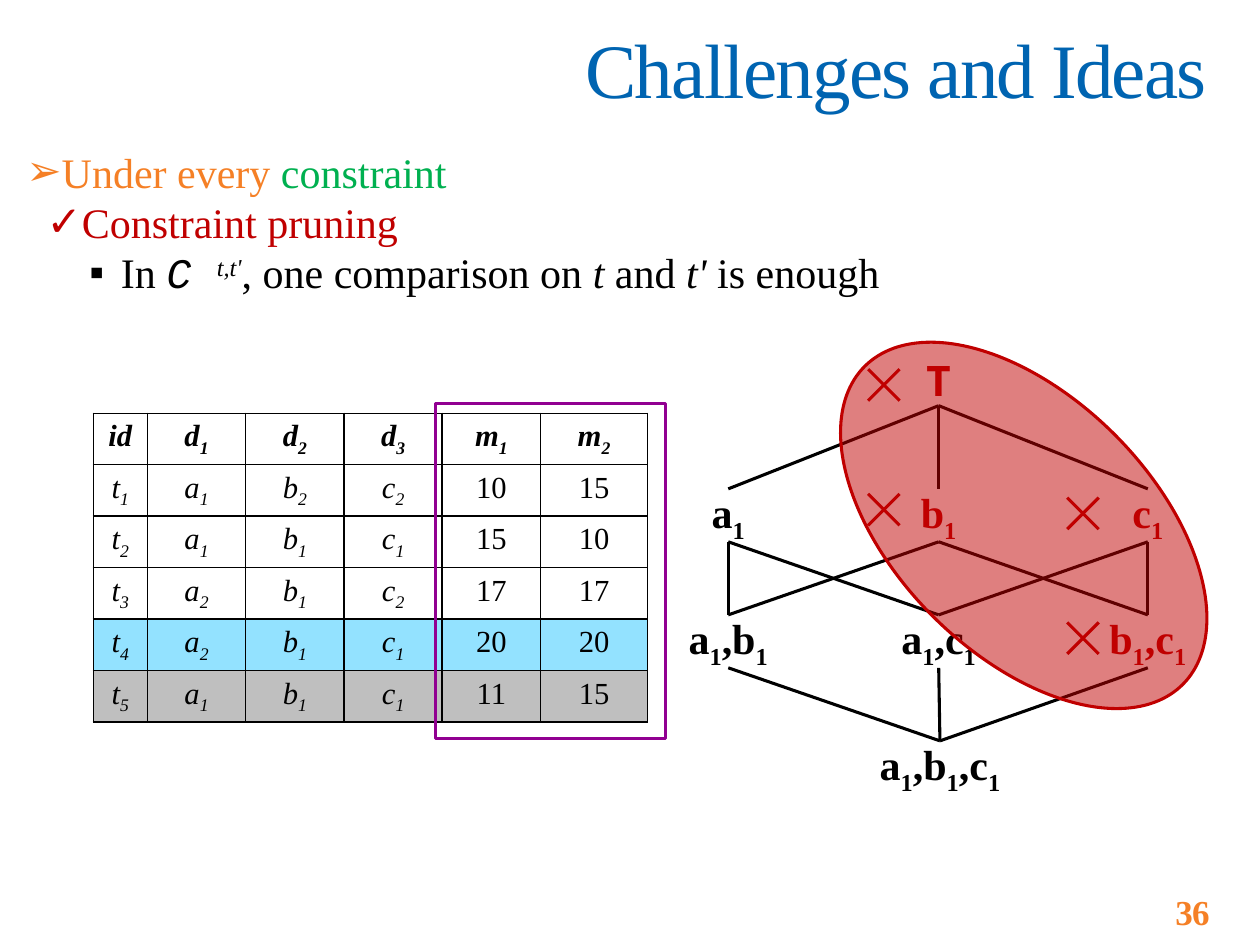
from itertools import groupby
from lxml import etree
from pptx import Presentation
from pptx.dml.color import RGBColor as RGB
from pptx.enum.shapes import MSO_CONNECTOR as LINK, MSO_SHAPE as SHAPE
from pptx.enum.text import MSO_ANCHOR as ANCHOR, PP_ALIGN as ALIGN
from pptx.oxml.ns import qn
from pptx.util import Inches, Pt

HUES = {"blue": "0064B1", "orange": "F58026", "green": "00B050", "red": "C00000",
        "black": "000000", "white": "FFFFFF", "sky": "93E2FF", "gray": "BFBFBF",
        "purple": "910091"}
SERIF = "Times New Roman"


def hue(name):
    return RGB.from_string(HUES[name])


def style(font, size, color, bold=None, italic=None, name=SERIF):
    font.size, font.name, font.bold, font.italic = Pt(size), name, bold, italic
    font.color.rgb = hue(color)


def place(item, x, y, w, h):
    item.left, item.top, item.width, item.height = map(Inches, (x, y, w, h))


def pad(frame, *sides):
    (frame.margin_left, frame.margin_top,
     frame.margin_right, frame.margin_bottom) = map(Inches, sides)


def shift(run, value):
    run._r.get_or_add_rPr().set("baseline", str(value * 1000))


def track(run, value):
    run._r.get_or_add_rPr().set("spc", str(int(value * 100)))


def label(par, text):
    par.alignment = ALIGN.CENTER
    if text.isdigit():
        par.add_run().text = text
        return
    for low, part in groupby(text, str.isdigit):
        run = par.add_run()
        run.text = "".join(part)
        if low:
            shift(run, -25)


def form(slide, kind, x, y, w, h, fill=None, line=None):
    item = slide.shapes.add_shape(kind, *map(Inches, (x, y, w, h)))
    item.shadow.inherit = False
    if fill:
        item.fill.solid()
        item.fill.fore_color.rgb = hue(fill)
    else:
        item.fill.background()
    if line:
        item.line.color.rgb = hue(line)
        item.line.width = Pt(1.75)
    else:
        item.line.fill.background()
    return item


def stroke(slide, x1, y1, x2, y2, color):
    line = slide.shapes.add_connector(LINK.STRAIGHT, *map(Inches, (x1, y1, x2, y2)))
    line.line.color.rgb = hue(color)
    line.line.width = Pt(1.75)
    etree.SubElement(line._element.spPr, qn("a:effectLst"))
    return line


def title(slide, x, y, w, h):
    head = slide.shapes.title
    place(head, x, y, w, h)
    frame = head.text_frame
    pad(frame, 0, 0, 0, 0)
    frame.vertical_anchor = ANCHOR.TOP
    par = frame.paragraphs[0]
    par.alignment, par.line_spacing = ALIGN.RIGHT, 0.9
    run = par.add_run()
    run.text = "Challenges and Ideas"
    track(run, -1)
    style(par.font, 44, "blue")


def points(slide, x, y, w, h):
    body = slide.placeholders[1]
    place(body, x, y, w, h)
    frame = body.text_frame
    pad(frame, 0, 0, 0, 0)
    rows = [("➢", 0.28, 0.28, "orange", ["Under every", " constraint"]),
            ("✓", 0.42, 0.26, "red", ["Constraint pruning"]),
            ("▪", 0.75, 0.25, "black", ["In ", "C ", "t,t'", ", one comparison on ",
                                        "t", " and ", "t'", " is enough"])]
    for i, (mark, left, hang, color, parts) in enumerate(rows):
        par = frame.paragraphs[0] if i == 0 else frame.add_paragraph()
        par.level = i
        par.space_before = Pt(0)
        props = par._p.get_or_add_pPr()
        props.set("marL", str(Inches(left)))
        props.set("indent", str(-Inches(hang)))
        etree.SubElement(props, qn("a:buChar")).set("char", mark)
        style(par.font, 24, color)
        for part in parts:
            run = par.add_run()
            run.text = part
            if part in ("C ", "t,t'", "t", "t'"):
                run.font.italic = True
            if part == "C ":
                run.font.name = "Courier New"
            elif part == "t,t'":
                shift(run, 30)
            elif part == " constraint":
                run.font.color.rgb = hue("green")


def border(cell):
    props = cell._tc.get_or_add_tcPr()
    for i, side in enumerate(("lnL", "lnR", "lnT", "lnB")):
        line = etree.Element(qn("a:" + side), w=str(Pt(1)))
        fill = etree.SubElement(line, qn("a:solidFill"))
        etree.SubElement(fill, qn("a:srgbClr")).set("val", HUES["black"])
        props.insert(i, line)


def grid(slide, x, y, w, h):
    rows = [line.split() for line in (
        "id d1 d2 d3 m1 m2", "t1 a1 b2 c2 10 15", "t2 a1 b1 c1 15 10",
        "t3 a2 b1 c2 17 17", "t4 a2 b1 c1 20 20", "t5 a1 b1 c1 11 15")]
    fills = {4: "sky", 5: "gray"}
    table = slide.shapes.add_table(6, 6, *map(Inches, (x, y, w, h))).table
    table.first_row = table.horz_banding = False
    for col, wide in zip(table.columns, (0.43, 0.78, 0.78, 0.78, 0.78, 0.85)):
        col.width = Inches(wide)
    for r, row in enumerate(rows):
        for c, text in enumerate(row):
            cell = table.cell(r, c)
            pad(cell, 0.09, 0.05, 0.09, 0.05)
            if r in fills:
                cell.fill.solid()
                cell.fill.fore_color.rgb = hue(fills[r])
            else:
                cell.fill.background()
            border(cell)
            par = cell.text_frame.paragraphs[0]
            label(par, text)
            style(par.font, 17.5, "black", r == 0, not text.isdigit())


def node(slide, text, mid, top, color, wide=1, fill=None):
    kind = SHAPE.RECTANGLE if wide > 1 else SHAPE.OVAL
    item = form(slide, kind, mid - wide / 2, top, wide, 0.42, fill)
    frame = item.text_frame
    pad(frame, 0, 0, 0, 0)
    frame.word_wrap = wide > 1
    frame.vertical_anchor = ANCHOR.MIDDLE
    par = frame.paragraphs[0]
    label(par, text)
    style(par.font, 24, color, True, name="Karla" if text == "Τ" else SERIF)
    return item


def lattice(slide, x, y):
    mids = [x + 0.5, x + 2.17, x + 3.83]
    spots = {"Τ": (mids[1], y, "red")}
    for top, names in ((y + 1.08, ("a1", "b1", "c1")),
                       (y + 2.08, ("a1,b1", "a1,c1", "b1,c1"))):
        for mid, name in zip(mids, names):
            spots[name] = (mid, top, "red" if name in ("b1", "c1", "b1,c1") else "black")
    spots["a1,b1,c1"] = (x + 2.18, y + 3.08, "black", 1.3)
    nodes = {name: node(slide, name, *spot, fill="white" if name == "a1,b1" else None)
             for name, spot in spots.items()}
    sets = {name: set() if name == "Τ" else set(name.split(",")) for name in spots}
    for high in spots:
        for low in spots:
            if sets[high] < sets[low] and len(sets[low]) == len(sets[high]) + 1:
                mid, top = spots[high][:2]
                goal, end = spots[low][:2]
                edge = stroke(slide, mid, top + 0.42, goal, end, "black")
                edge.end_connect(nodes[low], 0)
    for left, top in ((1.61, 1.12), (1.61, 0.13), (3.19, 2.14), (3.19, 1.15)):
        cross(slide, x + left, y + top, 0.25)
    zone = form(slide, SHAPE.OVAL, x + 1.06, y + 0.35, 3.57, 2.04, "red", "red")
    zone.rotation = 45
    tint = zone._element.spPr.find(qn("a:solidFill"))[0]
    etree.SubElement(tint, qn("a:alpha")).set("val", "50000")


def cross(slide, x, y, size):
    stroke(slide, x, y, x + size, y + size, "red")
    stroke(slide, x, y + size, x + size, y, "red")


def number(slide, x, y, w, h):
    frame = form(slide, SHAPE.RECTANGLE, x, y, w, h, "white").text_frame
    pad(frame, 0.1, 0.05, 0.05, 0.1)
    frame.vertical_anchor = ANCHOR.BOTTOM
    par = frame.paragraphs[0]
    par.alignment = ALIGN.CENTER
    run = par.add_run()
    run.text = "36"
    track(run, -0.5)
    style(par.font, 20, "orange", True)


def main():
    deck = Presentation()
    deck.slide_width, deck.slide_height = Inches(10), Inches(7.5)
    slide = deck.slides.add_slide(deck.slide_layouts[1])
    number(slide, 8.88, 6.42, 1.12, 1.08)
    title(slide, 0.43, 0.25, 9.15, 0.67)
    points(slide, 0.21, 1.16, 9.37, 1.21)
    grid(slide, 0.74, 3.28, 4.4, 2.43)
    lattice(slide, 5.28, 2.8)
    form(slide, SHAPE.RECTANGLE, 3.46, 3.2, 1.82, 2.66, line="purple")
    deck.save("out.pptx")


if __name__ == "__main__":
    main()
